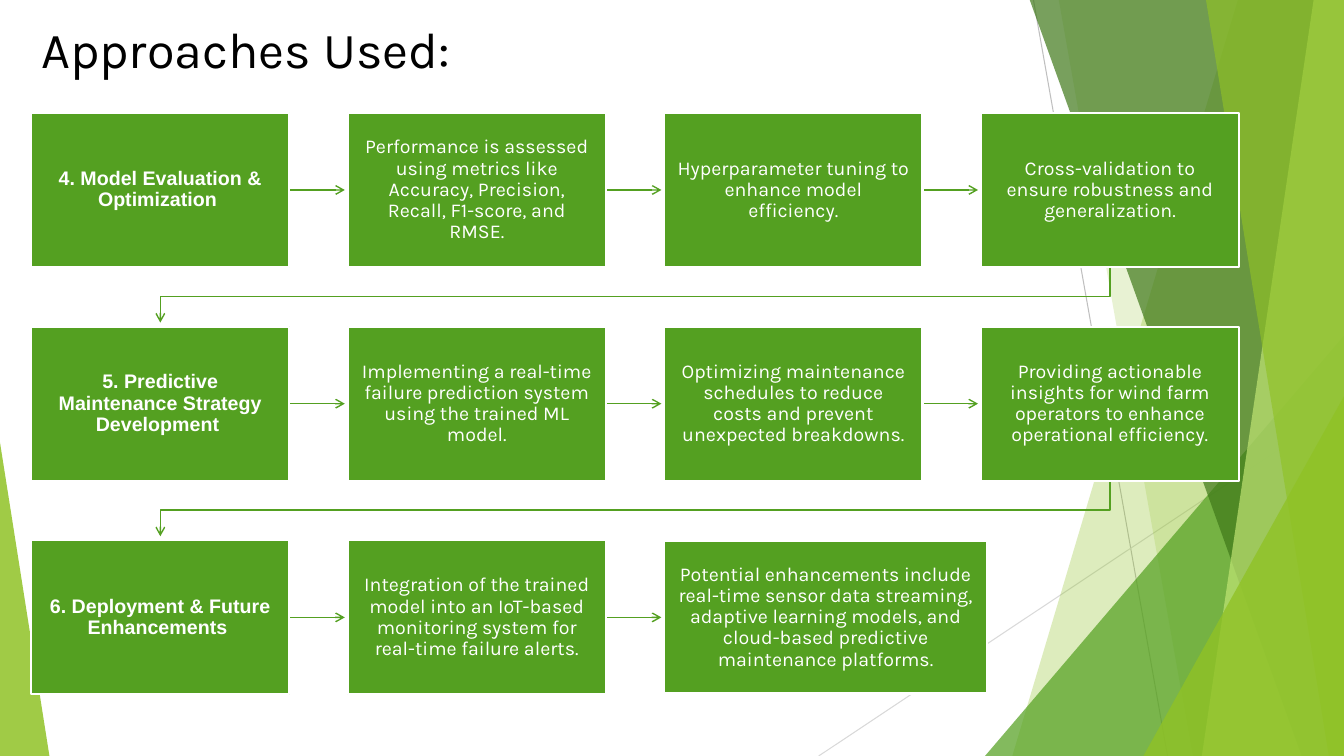
from dataclasses import dataclass

from lxml import etree
from pptx import Presentation
from pptx.dml.color import RGBColor
from pptx.enum.shapes import MSO_CONNECTOR, MSO_SHAPE
from pptx.enum.text import MSO_ANCHOR, PP_ALIGN
from pptx.oxml.ns import qn
from pptx.util import Inches, Pt

STRAIGHT = MSO_CONNECTOR.STRAIGHT
RECTANGLE = MSO_SHAPE.RECTANGLE
TRIANGLE = MSO_SHAPE.ISOSCELES_TRIANGLE
MIDDLE = MSO_ANCHOR.MIDDLE
CENTER = PP_ALIGN.CENTER

COLORS = {
    "white": "FFFFFF", "black": "000000", "green": "54A021", "lime": "90C226",
    "forest": "3F7819", "pale": "C0E474", "gray": "BFBFBF", "silver": "D9D9D9",
}
SLIDE_WIDTH, SLIDE_HEIGHT = 13.33, 7.5
LEFT, TOP = 0.31, 1.12
COLUMN_PITCH, ROW_PITCH = 3.14, 2.12
STEP_WIDTH, STEP_HEIGHT = 2.56, 1.53
ARROW_LENGTH = 0.55
TURN_DROP, TURN_HEIGHT = 0.29, 0.55

Point = tuple[float, float]


@dataclass
class Band:
    top_left: float
    bottom_left: float
    color: str
    opacity: int


@dataclass
class Corner:
    left: float
    top: float
    width: float
    apex: float
    color: str
    opacity: int


@dataclass
class Step:
    text: str
    left: float
    top: float
    width: float = STEP_WIDTH
    height: float = STEP_HEIGHT
    heading: bool = False


FACETS = [
    Band(12.28, 10.04, "lime", 30),
    Band(10.5, 11.83, "lime", 20),
    Corner(9.77, 3.33, 3.56, 1, "green", 72),
    Band(10.21, 12.91, "forest", 70),
    Band(13.03, 11.92, "pale", 70),
    Band(11.96, 13.18, "lime", 65),
    Corner(11.34, 3.93, 1.99, 1, "lime", 80),
    Corner(0, 4.39, 0.49, 0, "lime", 85),
]

APPROACHES = [
    [
        "4. Model Evaluation & Optimization ",
        "Performance is assessed using metrics like Accuracy, Precision, Recall, F1-score, and RMSE.",
        "Hyperparameter tuning to enhance model efficiency.",
        "Cross-validation to ensure robustness and generalization.",
    ],
    [
        "5. Predictive Maintenance Strategy Development ",
        "Implementing a real-time failure prediction system using the trained ML model.",
        "Optimizing maintenance schedules to reduce costs and prevent unexpected breakdowns.",
        "Providing actionable insights for wind farm operators to enhance operational efficiency.",
    ],
    [
        "6. Deployment & Future Enhancements ",
        "Integration of the trained model into an IoT-based monitoring system for real-time failure alerts.",
        "Potential enhancements include real-time sensor data streaming, adaptive learning models, "
        "and cloud-based predictive maintenance platforms.",
    ],
]


def rgb(color: str) -> RGBColor:
    return RGBColor.from_string(COLORS[color])


def apply(target, values: dict) -> None:
    for attribute, value in values.items():
        setattr(target, attribute, value)


def style_line(line, color: str, width: float, arrow: bool = False) -> None:
    line.color.rgb = rgb(color)
    line.width = Pt(width)
    if arrow:
        etree.SubElement(line._get_or_add_ln(), qn("a:tailEnd"), type="arrow")


def add_line(shapes, start: Point, end: Point, color: str, width: float, arrow: bool = False) -> None:
    connector = shapes.add_connector(STRAIGHT, *(Inches(value) for value in (*start, *end)))
    style_line(connector.line, color, width, arrow)
    etree.SubElement(connector._element.spPr, qn("a:effectLst"))


def add_outline(shapes, points: list[Point], closed: bool):
    corners = [(Inches(x), Inches(y)) for x, y in points]
    builder = shapes.build_freeform(*corners[0])
    builder.add_line_segments(corners[1:], close=closed)
    outline = builder.convert_to_shape()
    outline.shadow.inherit = False
    return outline


def add_facet(shapes, facet: Band | Corner) -> None:
    if isinstance(facet, Band):
        shape = add_outline(shapes, [
            (facet.top_left, -0.01), (SLIDE_WIDTH, -0.01),
            (SLIDE_WIDTH, SLIDE_HEIGHT), (facet.bottom_left, SLIDE_HEIGHT),
        ], closed=True)
    else:
        shape = shapes.add_shape(
            TRIANGLE, Inches(facet.left), Inches(facet.top),
            Inches(facet.width), Inches(SLIDE_HEIGHT - facet.top))
        shape.adjustments[0] = facet.apex
        shape.shadow.inherit = False
    shape.fill.solid()
    shape.fill.fore_color.rgb = rgb(facet.color)
    tint = shape._element.spPr.find(qn("a:solidFill"))[0]
    etree.SubElement(tint, qn("a:alpha"), val=str(facet.opacity * 1000))
    shape.line.fill.background()


def write(frame, text: str, color: str, frame_format: dict, paragraph_format: dict, font_format: dict) -> None:
    apply(frame, {"word_wrap": True, "vertical_anchor": MIDDLE, **frame_format})
    paragraph = frame.paragraphs[0]
    apply(paragraph, paragraph_format)
    run = paragraph.add_run()
    run.text = text
    apply(run.font, font_format)
    run.font.color.rgb = rgb(color)


def add_step(shapes, step: Step) -> None:
    box = shapes.add_shape(
        RECTANGLE, Inches(step.left), Inches(step.top), Inches(step.width), Inches(step.height))
    box.shadow.inherit = False
    box.fill.solid()
    box.fill.fore_color.rgb = rgb("green")
    style_line(box.line, "white", 1.5)
    margins = {f"margin_{side}": Inches(0.13) for side in ("left", "top", "right", "bottom")}
    write(
        box.text_frame, step.text, "white", margins,
        {"alignment": CENTER, "line_spacing": 0.9, "space_after": Pt(5)},
        {"name": "Arial" if step.heading else "Karla", "size": Pt(14), "bold": step.heading})


def add_turn(shapes, last: Step) -> None:
    start_x, end_x = (left + STEP_WIDTH / 2 for left in (last.left, LEFT))
    start_y = last.top + last.height
    turn_y = start_y + TURN_DROP
    turn = add_outline(shapes, [
        (start_x, start_y), (start_x, turn_y), (end_x, turn_y), (end_x, start_y + TURN_HEIGHT),
    ], closed=False)
    turn.fill.background()
    style_line(turn.line, "green", 1, arrow=True)


def plan_steps() -> list[list[Step]]:
    rows = [
        [Step(text, LEFT + column * COLUMN_PITCH, TOP + row * ROW_PITCH, heading=column == 0)
         for column, text in enumerate(texts)]
        for row, texts in enumerate(APPROACHES)
    ]
    apply(rows[-1][-1], {"top": 5.37, "width": 3.2, "height": 1.51})
    return rows


def main() -> None:
    deck = Presentation()
    apply(deck, {"slide_width": Inches(SLIDE_WIDTH), "slide_height": Inches(SLIDE_HEIGHT)})
    shapes = deck.slides.add_slide(deck.slide_layouts[6]).shapes

    add_line(shapes, (10.25, 0), (11.58, SLIDE_HEIGHT), "gray", 0.75)
    add_line(shapes, (SLIDE_WIDTH, 4.03), (8.12, SLIDE_HEIGHT), "silver", 0.75)
    for facet in FACETS:
        add_facet(shapes, facet)

    title = shapes.add_textbox(Inches(LEFT), Inches(0.08), Inches(9.57), Inches(0.8))
    write(title.text_frame, "Approaches Used:", "black", {}, {"space_after": Pt(6)},
          {"name": "Karla", "size": Pt(36)})

    rows = plan_steps()
    for row in rows:
        for step in row[:-1]:
            start_x, y = step.left + step.width, step.top + step.height / 2
            add_line(shapes, (start_x, y), (start_x + ARROW_LENGTH, y), "green", 1, arrow=True)
        if row is not rows[-1]:
            add_turn(shapes, row[-1])
        for step in row:
            add_step(shapes, step)

    deck.save("out.pptx")


if __name__ == "__main__":
    main()
